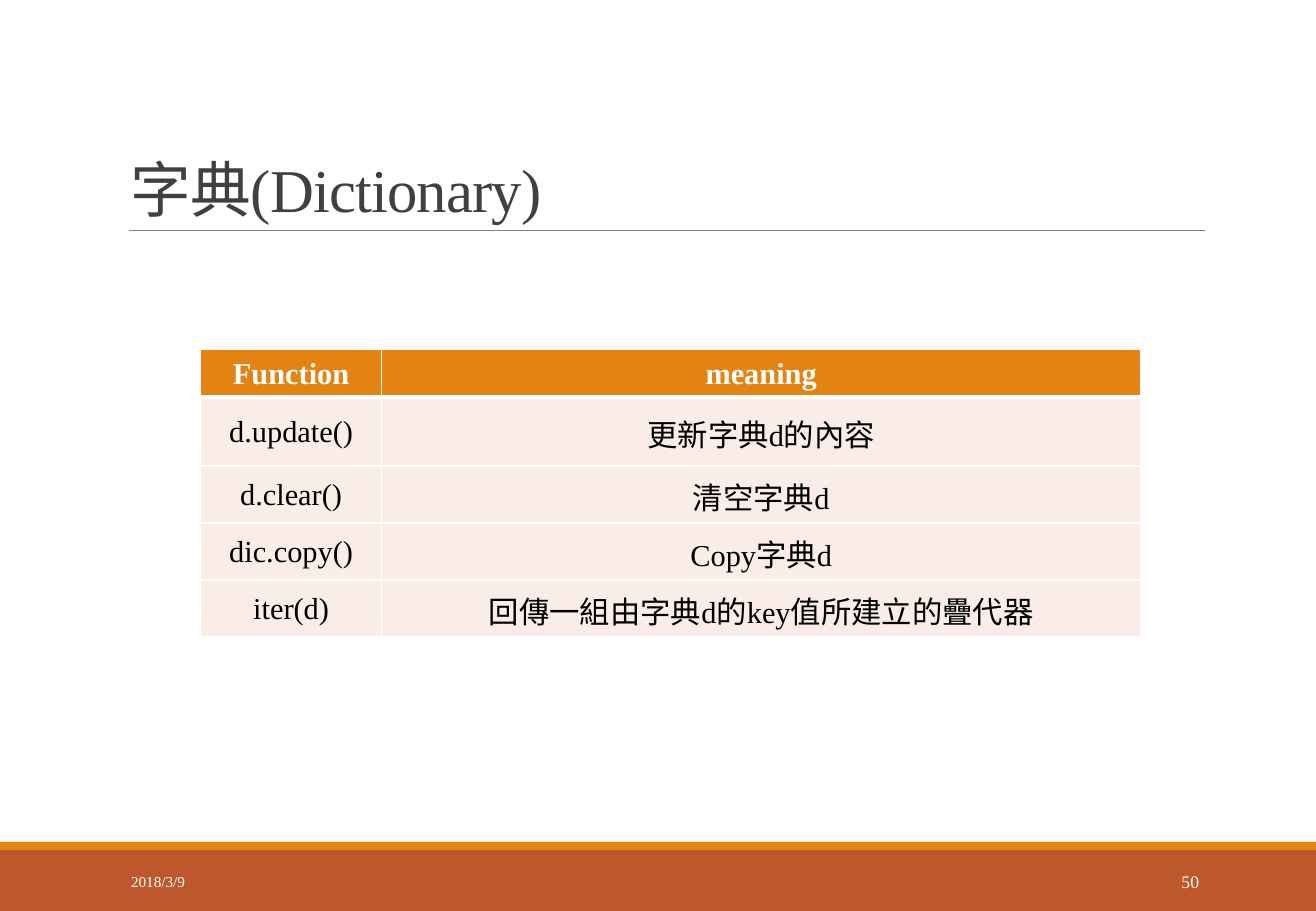
from lxml.etree import SubElement as Sub
from pptx import Presentation
from pptx.dml.color import RGBColor as Rgb
from pptx.enum.shapes import MSO_CONNECTOR as Link, MSO_SHAPE as Form
from pptx.enum.text import MSO_ANCHOR as Anchor, MSO_AUTO_SIZE as Fit, PP_ALIGN as Align
from pptx.oxml.ns import qn
from pptx.util import Pt


class Theme:
    face = "Times New Roman"
    white, black, gray, rule = "FFFFFF", "000000", "404040", "808080"
    orange, rust, pink = "E48312", "BD582C", "FAEDE7"
    title, body, date, page = 36, 18, 9, 10.5


def write(frame, text, size, color, align=Align.LEFT, space=1, bold=False):
    """Fill the first paragraph of a text frame and return its run."""
    para = frame.paragraphs[0]
    para.alignment, para.line_spacing = align, space
    run = para.add_run()
    run.text = text
    look = {"name": Theme.face, "size": Pt(size), "bold": bold}
    for key, value in look.items():
        setattr(run.font, key, value)
    run.font.color.rgb = Rgb.from_string(color)
    return run


def edge(cell, side, width):
    """Draw one white border of a table cell."""
    line = Sub(cell._tc.get_or_add_tcPr(), qn(f"a:ln{side}"), w=str(Pt(width)))
    Sub(Sub(line, qn("a:solidFill")), qn("a:srgbClr"), val=Theme.white)


deck = Presentation()
deck.slide_width, deck.slide_height = Pt(780), Pt(540)
slide = deck.slides.add_slide(deck.slide_layouts[5])
shapes = slide.shapes

# Footer bands
for top, height, color in [(504, 36, Theme.rust), (499, 5, Theme.orange)]:
    band = shapes.add_shape(Form.RECTANGLE, 0, Pt(top), Pt(780), Pt(height))
    band.shadow.inherit = False
    band.fill.solid()
    band.fill.fore_color.rgb = Rgb.from_string(color)
    band.line.fill.background()

# Title and its rule
rule = shapes.add_connector(Link.STRAIGHT, Pt(76.3), Pt(136.8), Pt(714.2), Pt(136.8))
rule.line.width = Pt(0.5)
rule.line.color.rgb = Rgb.from_string(Theme.rule)
Sub(rule._element.spPr, qn("a:effectLst"))

title = shapes.title
place = {"left": 70, "top": 22.3, "width": 644, "height": 114.5}
for key, value in place.items():
    setattr(title, key, Pt(value))
frame = title.text_frame
frame.auto_size, frame.vertical_anchor = Fit.NONE, Anchor.BOTTOM
run = write(frame, "字典(Dictionary)", Theme.title, Theme.gray, space=0.85)
run.font._element.set("spc", "-50")

# Date and page number
notes = [
    (70.6, 158.4, "2018/3/9", Theme.date, Align.LEFT),
    (633.6, 84.2, "50", Theme.page, Align.RIGHT),
]
for left, width, text, size, align in notes:
    box = shapes.add_textbox(Pt(left), Pt(508.3), Pt(width), Pt(28.8))
    frame = box.text_frame
    frame.word_wrap, frame.vertical_anchor = True, Anchor.MIDDLE
    write(frame, text, size, Theme.white, align)

# Function table
rows = [
    ("Function", "meaning"),
    ("d.update()", "更新字典d的內容"),
    ("d.clear()", "清空字典d"),
    ("dic.copy()", "Copy字典d"),
    ("iter(d)", "回傳一組由字典d的key值所建立的疊代器"),
]
widths = [107.2, 450]
heights = [28.2, 41] + [33.8] * 3
table = shapes.add_table(
    len(rows), len(widths), Pt(119), Pt(207), Pt(sum(widths)), Pt(sum(heights))
).table
for col, width in zip(table.columns, widths):
    col.width = Pt(width)
inset = {"margin_left": Pt(5), "margin_right": Pt(5), "margin_top": 0,
         "margin_bottom": 0, "vertical_anchor": Anchor.MIDDLE}
for r, (texts, height) in enumerate(zip(rows, heights)):
    table.rows[r].height = Pt(height)
    head = r == 0
    for c, text in enumerate(texts):
        cell = table.cell(r, c)
        for key, value in inset.items():
            setattr(cell, key, value)
        for side in "LRTB":
            heavy = (head and side == "B") or (r == 1 and side == "T")
            edge(cell, side, 3 if heavy else 1)
        cell.fill.solid()
        cell.fill.fore_color.rgb = Rgb.from_string(Theme.orange if head else Theme.pink)
        color = Theme.white if head else Theme.black
        write(cell.text_frame, text, Theme.body, color, Align.CENTER, 1.07, head)

deck.save("out.pptx")
